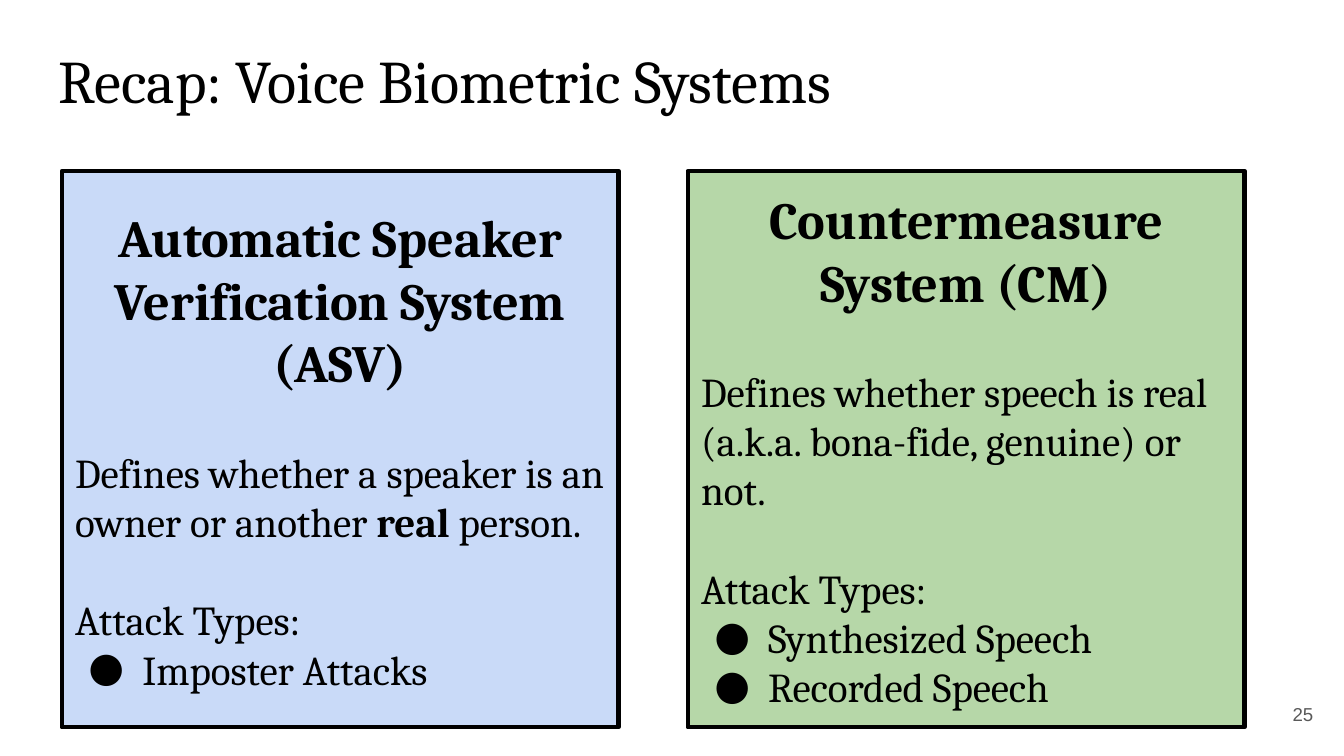
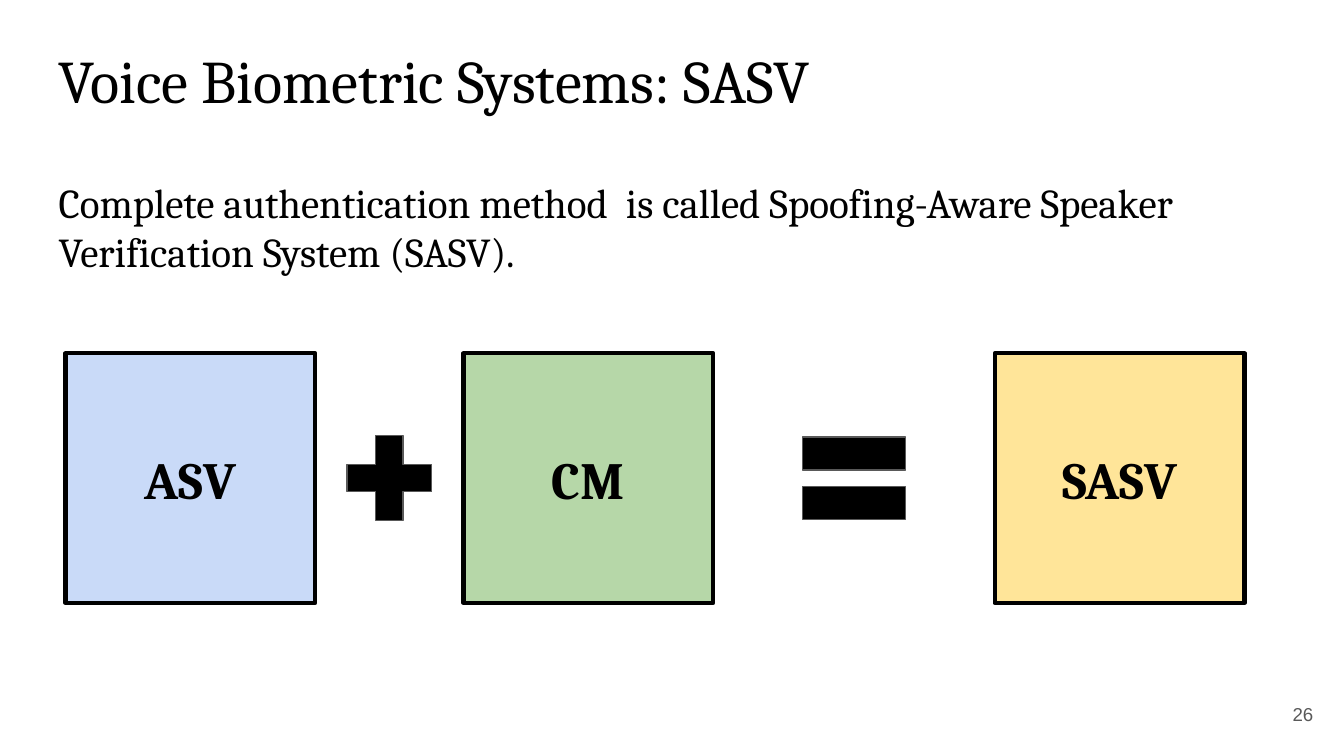
"""Build two slides on voice biometric systems: the ASV and CM recap, then SASV."""
from dataclasses import dataclass

from lxml import etree
from pptx import Presentation
from pptx import util as u
from pptx.dml.color import RGBColor
from pptx.enum import shapes, text
from pptx.oxml import ns


@dataclass(frozen=True)
class Theme:
    font: str = "Cambria"
    number_font: str = "Arial"
    ink: str = "000000"
    gray: str = "595959"
    blue: str = "C9DAF8"
    green: str = "B6D7A8"
    yellow: str = "FFE599"
    title: float = 32.4
    heading: float = 28
    body: float = 22
    number: float = 10
    border: float = 2.25
    thin: float = 0.75
    heading_gap: float = 28.8
    body_gap: float = 26.4
    inset: float = 0.25


THEME = Theme()

RECAP = {
    "number": 25,
    "title": "Recap: Voice Biometric Systems",
    "systems": [
        {
            "fill": THEME.blue,
            "heading": ["Automatic Speaker Verification System (ASV)"],
            "definition": [
                ("Defines whether a speaker is an owner or another ", False),
                ("real", True),
                (" person.", False),
            ],
            "attacks": ["Imposter Attacks"],
        },
        {
            "fill": THEME.green,
            "heading": ["Countermeasure", "System (CM)"],
            "definition": [
                ("Defines whether speech is real (a.k.a. bona-fide, genuine) or not.", False),
            ],
            "attacks": ["Synthesized Speech", "Recorded Speech"],
        },
    ],
}
ATTACKS_LABEL = "Attack Types:"

SASV = {
    "number": 26,
    "title": "Voice Biometric Systems: SASV",
    "summary": "Complete authentication method  is called Spoofing-Aware Speaker "
               "Verification System (SASV).",
    "terms": [
        ("ASV", THEME.blue, 1.24),
        ("CM", THEME.green, 8.76),
        ("SASV", THEME.yellow, 18.8),
    ],
    "operators": [
        (shapes.MSO_SHAPE.MATH_PLUS, 2.18),
        (shapes.MSO_SHAPE.MATH_EQUAL, 2.64),
    ],
}

PAGE = (25.4, 14.29)
TITLE_BOX = (0.86, 0.56, 23.67, 1.6)
NUMBER_BOX = (23.55, 12.95, 1.52, 1.09)
SUMMARY_BOX = (0.86, 3.1, 22.96, 2.64)
PANEL_LEFT, PANEL_TOP, PANEL_SIDE, PANEL_PITCH = 1.17, 3.23, 10.52, 11.83
TERM_TOP, TERM_SIDE = 6.68, 4.72


def lengths(box):
    """Turn centimetres into slide lengths."""
    return [u.Cm(value) for value in box]


def prepare(frame, anchor):
    """Give a text frame its wrapping, insets and anchor."""
    frame.word_wrap = True
    frame.auto_size = text.MSO_AUTO_SIZE.NONE
    frame.vertical_anchor = anchor
    frame.margin_left = frame.margin_right = u.Cm(THEME.inset)
    frame.margin_top = frame.margin_bottom = u.Cm(THEME.inset)
    return frame


def write(paragraph, runs, size, align=text.PP_ALIGN.LEFT, gap=0, color=THEME.ink, font=THEME.font):
    """Fill a paragraph with (wording, bold) runs."""
    paragraph.alignment = align
    paragraph.space_before = u.Pt(gap)
    for wording, bold in runs:
        run = paragraph.add_run()
        run.text = wording
        run.font.name = font
        run.font.size = u.Pt(size)
        run.font.bold = bold
        run.font.color.rgb = RGBColor.from_string(color)


def add_bullet(paragraph):
    """Give a paragraph a hanging round bullet."""
    properties = paragraph._p.get_or_add_pPr()
    properties.set("marL", str(u.Cm(1.27)))
    properties.set("indent", str(u.Cm(-1.02)))
    color = etree.SubElement(properties, ns.qn("a:buClr"))
    etree.SubElement(color, ns.qn("a:srgbClr"), val=THEME.ink)
    etree.SubElement(properties, ns.qn("a:buFont"), typeface=THEME.font)
    etree.SubElement(properties, ns.qn("a:buChar"), char="●")


def add_figure(slide, kind, box, fill, line=THEME.ink, width=THEME.border):
    """Draw a filled and outlined preset shape."""
    figure = slide.shapes.add_shape(kind, *lengths(box))
    figure.shadow.inherit = False
    figure.fill.solid()
    figure.fill.fore_color.rgb = RGBColor.from_string(fill)
    figure.line.color.rgb = RGBColor.from_string(line)
    figure.line.width = u.Pt(width)
    return figure


def add_text(slide, box, wording, size, anchor=text.MSO_ANCHOR.TOP, **style):
    """Place a text box holding one paragraph."""
    frame = prepare(slide.shapes.add_textbox(*lengths(box)).text_frame, anchor)
    write(frame.paragraphs[0], [(wording, False)], size, **style)


def add_slide(deck, content):
    """Start a slide with its title and number."""
    slide = deck.slides.add_slide(deck.slide_layouts[5])
    title = slide.shapes.title
    title.left, title.top, title.width, title.height = lengths(TITLE_BOX)
    frame = prepare(title.text_frame, text.MSO_ANCHOR.TOP)
    write(frame.paragraphs[0], [(content["title"], False)], THEME.title)
    add_text(slide, NUMBER_BOX, str(content["number"]), THEME.number, text.MSO_ANCHOR.MIDDLE,
             align=text.PP_ALIGN.RIGHT, color=THEME.gray, font=THEME.number_font)
    return slide


def add_system(slide, index, system):
    """Draw one system panel with heading, definition and attack types."""
    box = (PANEL_LEFT + index * PANEL_PITCH, PANEL_TOP, PANEL_SIDE, PANEL_SIDE)
    panel = add_figure(slide, shapes.MSO_SHAPE.RECTANGLE, box, system["fill"])
    frame = prepare(panel.text_frame, text.MSO_ANCHOR.MIDDLE)
    for number, heading in enumerate(system["heading"]):
        paragraph = frame.add_paragraph() if number else frame.paragraphs[0]
        write(paragraph, [(heading, True)], THEME.heading, text.PP_ALIGN.CENTER)
    write(frame.add_paragraph(), system["definition"], THEME.body, gap=THEME.heading_gap)
    write(frame.add_paragraph(), [(ATTACKS_LABEL, False)], THEME.body, gap=THEME.body_gap)
    for attack in system["attacks"]:
        paragraph = frame.add_paragraph()
        add_bullet(paragraph)
        write(paragraph, [(attack, False)], THEME.body)


def add_equation(slide, terms, operators):
    """Draw the term squares and centre each operator in the gap between two."""
    for name, fill, left in terms:
        box = (left, TERM_TOP, TERM_SIDE, TERM_SIDE)
        term = add_figure(slide, shapes.MSO_SHAPE.RECTANGLE, box, fill)
        frame = prepare(term.text_frame, text.MSO_ANCHOR.MIDDLE)
        write(frame.paragraphs[0], [(name, True)], THEME.heading, text.PP_ALIGN.CENTER)
    middle = TERM_TOP + TERM_SIDE / 2
    for (kind, side), before, after in zip(operators, terms, terms[1:]):
        center = (before[2] + TERM_SIDE + after[2]) / 2
        box = (center - side / 2, middle - side / 2, side, side)
        add_figure(slide, kind, box, THEME.ink, THEME.gray, THEME.thin)


def main():
    """Build and save the deck."""
    deck = Presentation()
    deck.slide_width, deck.slide_height = lengths(PAGE)
    recap = add_slide(deck, RECAP)
    for index, system in enumerate(RECAP["systems"]):
        add_system(recap, index, system)
    sasv = add_slide(deck, SASV)
    add_equation(sasv, SASV["terms"], SASV["operators"])
    add_text(sasv, SUMMARY_BOX, SASV["summary"], THEME.body)
    deck.save("out.pptx")


if __name__ == "__main__":
    main()
